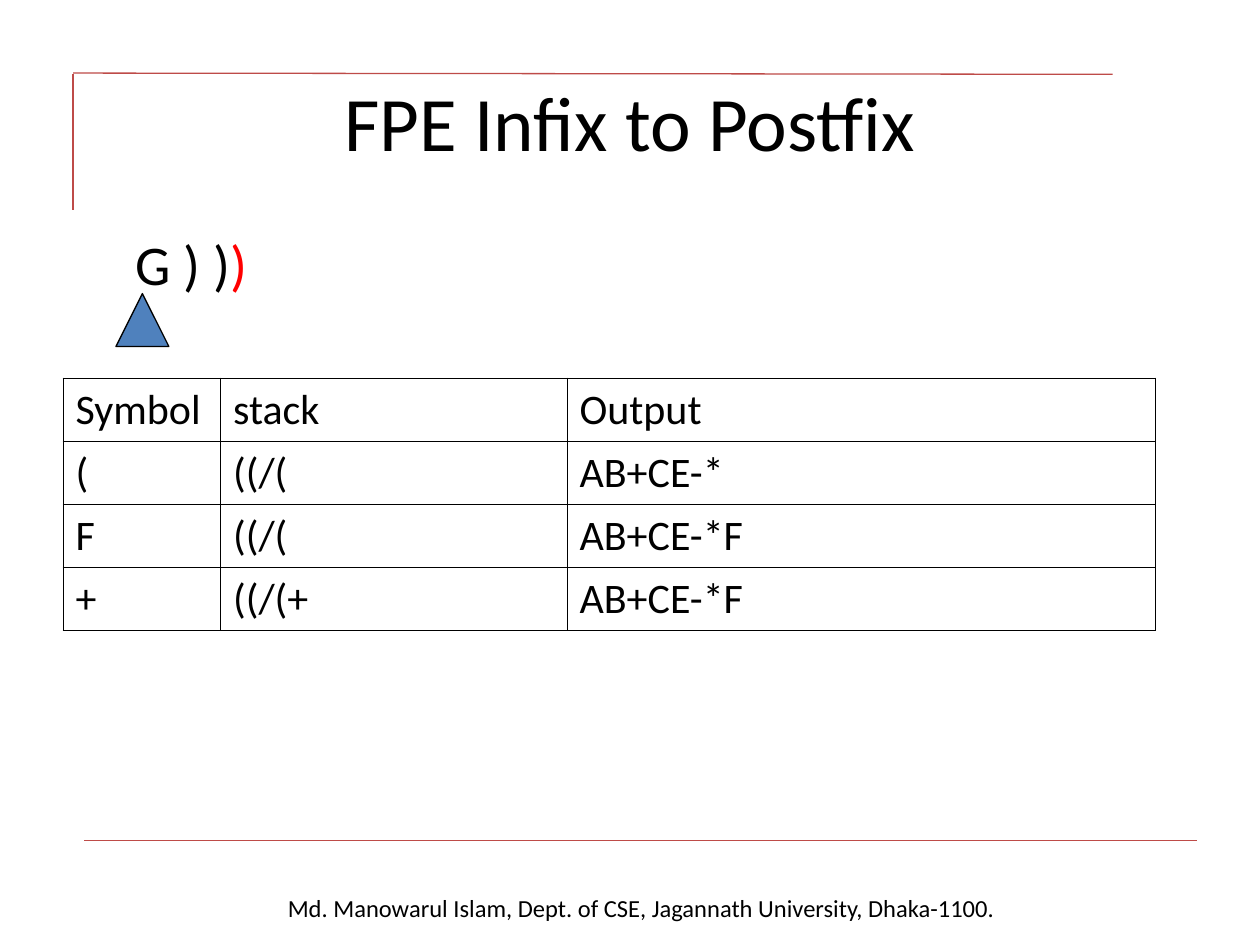
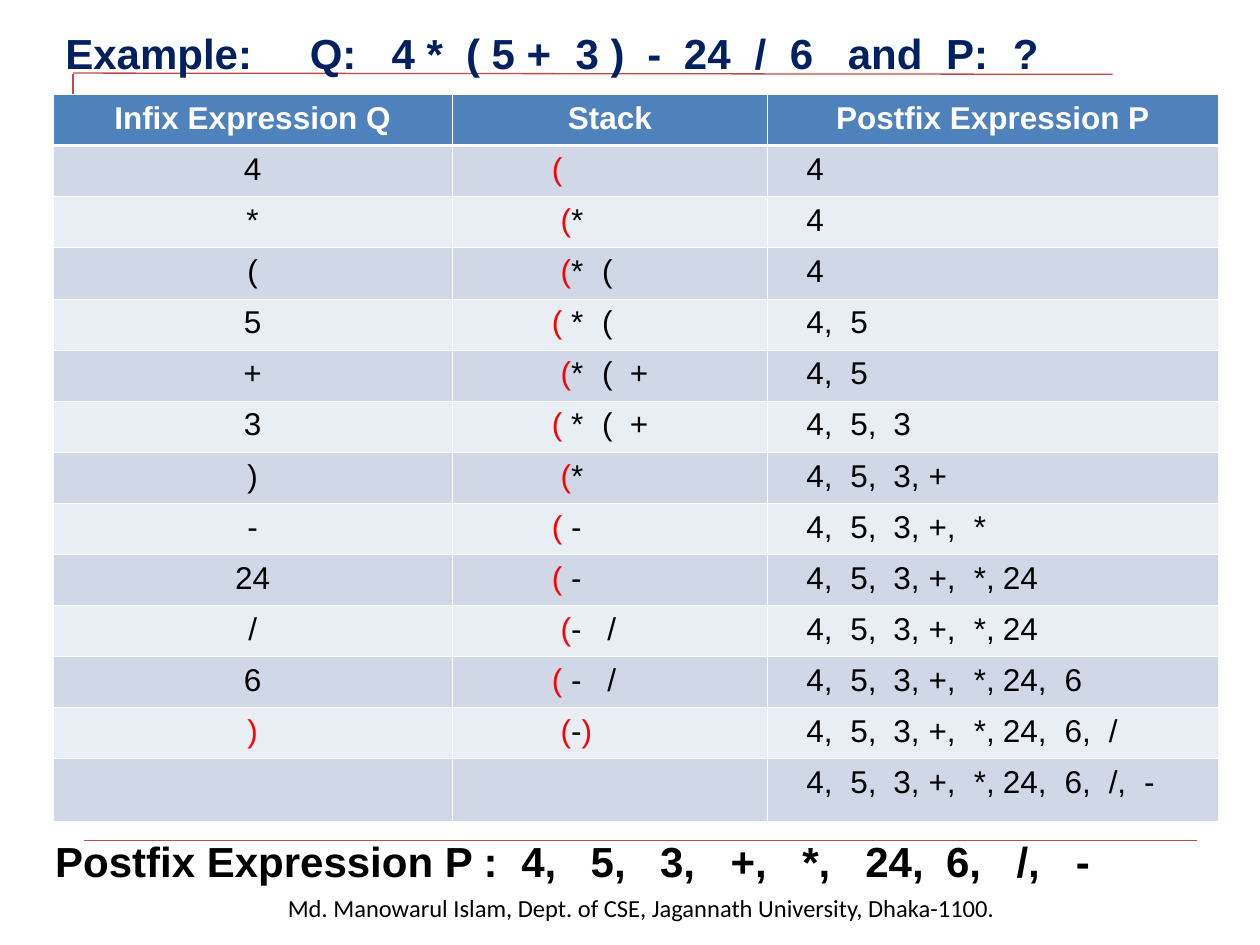
from lxml.etree import SubElement
from pptx import Presentation
from pptx.dml.color import RGBColor
from pptx.enum.shapes import MSO_CONNECTOR, MSO_SHAPE
from pptx.enum.text import MSO_ANCHOR, PP_ALIGN
from pptx.oxml.ns import qn
from pptx.util import Inches, Pt

BLACK = RGBColor(0x00, 0x00, 0x00)
WHITE = RGBColor(0xFF, 0xFF, 0xFF)
RED = RGBColor(0xFF, 0x00, 0x00)
NAVY = RGBColor(0x00, 0x20, 0x60)
RULE_RED = RGBColor(0xBE, 0x4B, 0x48)
BLUE = RGBColor(0x4F, 0x81, 0xBD)
BAND_DARK = RGBColor(0xD0, 0xD8, 0xE8)
BAND_LIGHT = RGBColor(0xE9, 0xED, 0xF4)

FOOTER = "Md. Manowarul Islam, Dept. of CSE, Jagannath University, Dhaka-1100."
FRAME_RULES = [
    (0.58, 0.59, 0.58, 1.67),
    (0.58, 0.58, 8.83, 0.59),
    (0.67, 6.67, 9.5, 6.67),
]

SCAN_ROWS = [
    ("Symbol", "stack", "Output"),
    ("(", "((/(", "AB+CE-*"),
    ("F", "((/(", "AB+CE-*F"),
    ("+", "((/(+", "AB+CE-*F"),
]

# Text between bars is red; tabs line up the operators and operands.
EXAMPLE_HEADER = ("Infix Expression Q", "Stack", "Postfix Expression P")
EXAMPLE_STEPS = [
    ("4", "|(|", 1),
    ("*", "|(|*", 1),
    ("(", "|(|*\t(", 1),
    ("5", "|(| *\t(", 2),
    ("+", "|(|*\t(\t+", 2),
    ("3", "|(| *\t(\t+", 3),
    (")", "|(|*", 4),
    ("-", "|(| -", 5),
    ("24", "|(| -", 6),
    ("/", "|(|-\t/", 6),
    ("6", "|(| -\t/", 7),
    ("|)|", "|(|-|)|", 8),
    ("", "", 9),
]
POSTFIX = ["4", "5", "3", "+", "*", "24", "6", "/", "-"]
OUTPUT_STOPS = [0.35, 0.69, 0.97, 1.33, 1.56, 2.05, 2.40, 2.68]
QUESTION_STOPS = [1.94, 2.59, 3.18, 4.05, 4.62, 4.91, 5.47, 5.75, 6.21, 6.99, 7.52]
ANSWER_STOPS = [3.70, 4.25, 4.80, 5.36, 5.93, 6.43, 7.07, 7.63, 8.10]


def write_text(frame, text, size=18, font="Arial", color=BLACK, bold=False,
               align=PP_ALIGN.LEFT, stops=()):
    """Fill a text frame; pieces between bars become red."""
    paragraph = frame.paragraphs[0]
    paragraph.alignment = align
    if stops:
        tab_list = SubElement(paragraph._p.get_or_add_pPr(), qn("a:tabLst"))
        for stop in stops:
            SubElement(tab_list, qn("a:tab"), pos=str(Inches(stop)), algn="l")
    for index, piece in enumerate(text.split("|")):
        if piece:
            run = paragraph.add_run()
            run.text = piece
            run.font.size = Pt(size)
            run.font.name = font
            run.font.bold = bold
            run.font.color.rgb = RED if index % 2 else color


def add_text(slide, left, top, width, height, text, anchor=MSO_ANCHOR.TOP, **style):
    frame = slide.shapes.add_textbox(
        Inches(left), Inches(top), Inches(width), Inches(height)).text_frame
    frame.word_wrap = True
    frame.vertical_anchor = anchor
    write_text(frame, text, **style)


def add_rule(slide, x1, y1, x2, y2):
    rule = slide.shapes.add_connector(
        MSO_CONNECTOR.STRAIGHT, Inches(x1), Inches(y1), Inches(x2), Inches(y2))
    rule.line.color.rgb = RULE_RED
    rule.line.width = Pt(0.75)
    SubElement(rule._element.spPr, qn("a:effectLst"))


def add_framed_slide(deck):
    """Add a blank slide with the shared rules and footer."""
    slide = deck.slides.add_slide(deck.slide_layouts[6])
    add_text(slide, 0.38, 7.04, 9.42, 0.34, FOOTER,
             size=14, font="Calibri", align=PP_ALIGN.CENTER)
    for ends in FRAME_RULES:
        add_rule(slide, *ends)
    return slide


def add_grid(slide, left, top, widths, heights):
    """Add an empty table with the given column widths and row heights."""
    grid = slide.shapes.add_table(
        len(heights), len(widths), Inches(left), Inches(top),
        Inches(sum(widths)), Inches(sum(heights))).table
    for column, width in zip(grid.columns, widths):
        column.width = Inches(width)
    for row, height in zip(grid.rows, heights):
        row.height = Inches(height)
    return grid


def dress_cell(cell, border, fill=None, **edge_widths):
    """Set borders and fill; edge_widths overrides single sides, such as lnB."""
    properties = cell._tc.get_or_add_tcPr()
    for side in ("lnL", "lnR", "lnT", "lnB"):
        width = Pt(edge_widths.get(side, 0.45))
        edge = SubElement(properties, qn(f"a:{side}"), w=str(width))
        solid = SubElement(edge, qn("a:solidFill"))
        SubElement(solid, qn("a:srgbClr"), val=str(border))
    if fill is None:
        cell.fill.background()
    else:
        cell.fill.solid()
        cell.fill.fore_color.rgb = fill


def add_scan_table(slide):
    grid = add_grid(slide, 0.5, 3, [1.25, 2.75, 4.67], [0.5] * len(SCAN_ROWS))
    for row, texts in enumerate(SCAN_ROWS):
        for column, text in enumerate(texts):
            cell = grid.cell(row, column)
            dress_cell(cell, BLACK)
            write_text(cell.text_frame, text, size=24, font="Calibri")


def add_scan_pointer(slide):
    pointer = slide.shapes.add_shape(
        MSO_SHAPE.ISOSCELES_TRIANGLE,
        Inches(0.92), Inches(2.33), Inches(0.42), Inches(0.42))
    pointer.shadow.inherit = False
    pointer.fill.solid()
    pointer.fill.fore_color.rgb = BLUE
    pointer.line.color.rgb = BLACK
    pointer.line.width = Pt(0.75)


def fill_step(cells, symbol, stack, output_count):
    """Write one conversion step: symbol read, stack, output so far."""
    symbol_cell, stack_cell, output_cell = cells
    write_text(symbol_cell.text_frame, symbol, align=PP_ALIGN.CENTER)

    spaced = stack == "|(|" or stack.startswith("|(| ")
    stack_left = 0.79 if spaced else 0.86
    stack_cell.margin_left = Inches(stack_left)
    stack_stops = [1.23] if "/" in stack else [1.19, 1.41]
    write_text(stack_cell.text_frame, stack,
               stops=[stop - stack_left for stop in stack_stops])

    output_cell.margin_left = Inches(0.31)
    write_text(output_cell.text_frame, ",\t".join(POSTFIX[:output_count]),
               stops=OUTPUT_STOPS)


def add_example_table(slide):
    row_count = len(EXAMPLE_STEPS) + 1
    heights = [5.68 / row_count] * (row_count - 1) + [0.5]
    grid = add_grid(slide, 0.42, 0.75, [3.17, 2.5, 3.58], heights)
    for column, heading in enumerate(EXAMPLE_HEADER):
        cell = grid.cell(0, column)
        dress_cell(cell, WHITE, BLUE, lnB=1.47)
        write_text(cell.text_frame, heading, color=WHITE, bold=True,
                   align=PP_ALIGN.CENTER)
    for row, step in enumerate(EXAMPLE_STEPS, start=1):
        cells = [grid.cell(row, column) for column in range(3)]
        for cell in cells:
            dress_cell(cell, WHITE, BAND_DARK if row % 2 else BAND_LIGHT,
                       lnT=1.47 if row == 1 else 0.45)
        fill_step(cells, *step)


def build_scan_slide(deck):
    slide = add_framed_slide(deck)
    add_text(slide, 0.5, 0.33, 9, 1.25, "FPE Infix to Postfix",
             anchor=MSO_ANCHOR.MIDDLE, size=44, font="Calibri",
             align=PP_ALIGN.CENTER)
    add_text(slide, 0.98, 1.77, 8.52, 0.6, "G ) )|)|", size=32, font="Calibri")
    add_scan_pointer(slide)
    add_scan_table(slide)


def build_example_slide(deck):
    slide = add_framed_slide(deck)
    add_text(slide, 0.42, 0.17, 9.08, 0.5,
             "Example:\tQ:\t4 *\t( 5 +\t3 )\t-\t24\t/\t6\tand\tP:\t?",
             size=24, color=NAVY, bold=True, stops=QUESTION_STOPS)
    add_example_table(slide)
    add_text(slide, 0.34, 6.58, 9.24, 0.5,
             "Postfix Expression P :\t" + ",\t".join(POSTFIX),
             size=24, bold=True, stops=ANSWER_STOPS)


def main():
    deck = Presentation()
    deck.slide_width = Inches(10)
    deck.slide_height = Inches(7.5)
    build_scan_slide(deck)
    build_example_slide(deck)
    deck.save("out.pptx")


if __name__ == "__main__":
    main()
